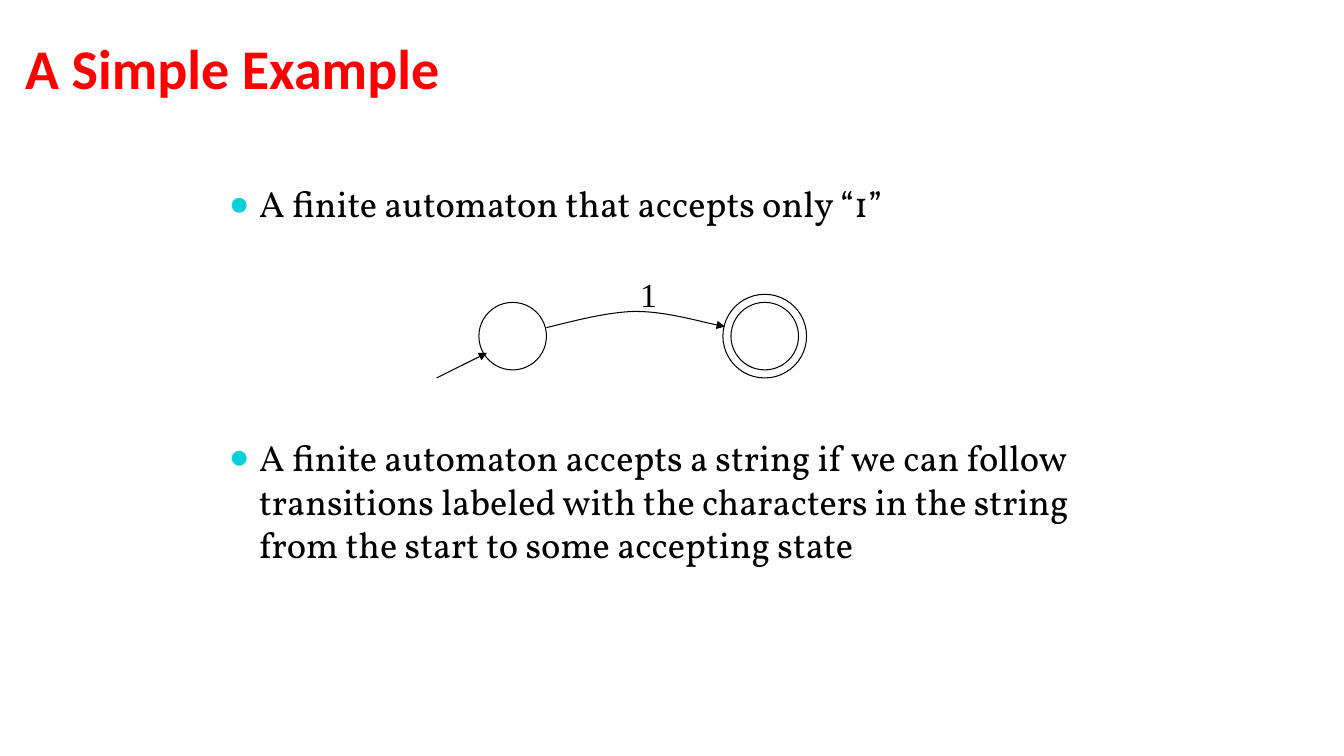
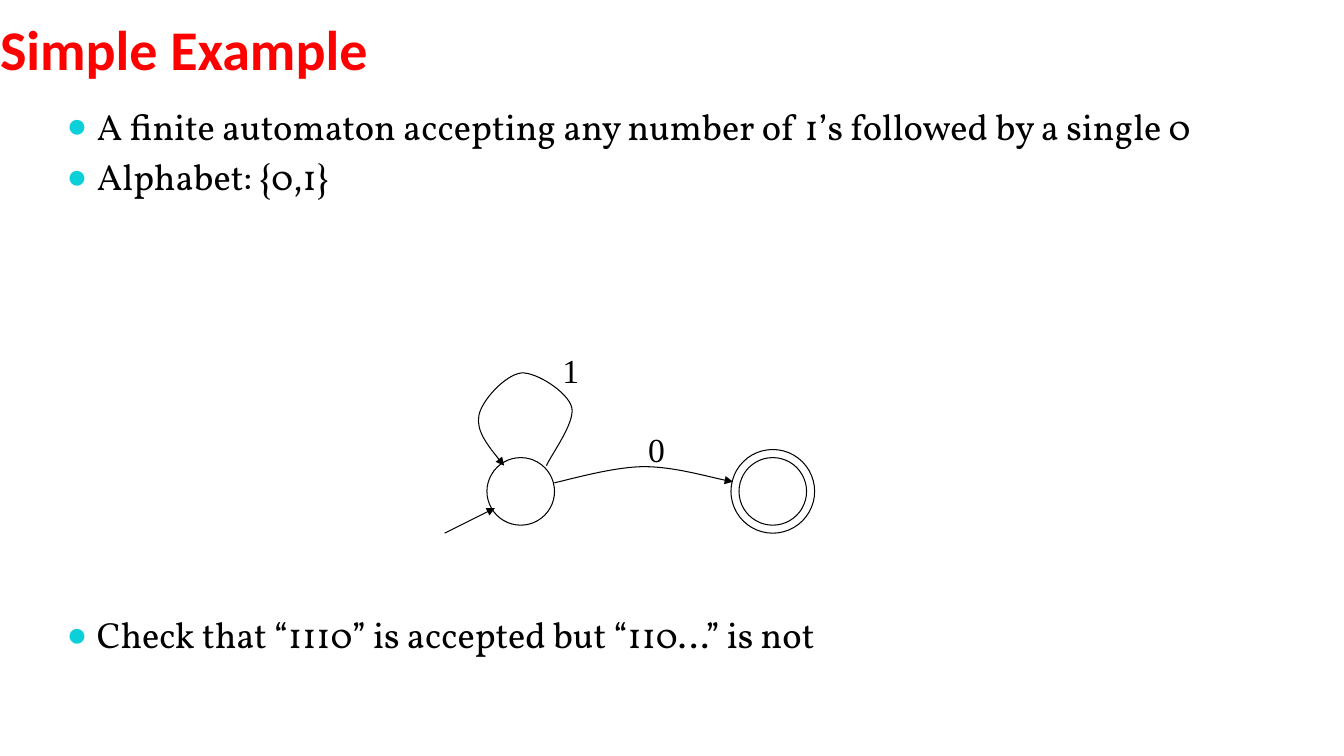
"""Build two slides that introduce finite automata with small state diagrams."""
import lxml.etree
import pptx
import pptx.dml.color
import pptx.enum.shapes
import pptx.enum.text
import pptx.oxml.ns
import pptx.util

Inches = pptx.util.Inches
Pt = pptx.util.Pt
qn = pptx.oxml.ns.qn

RED = pptx.dml.color.RGBColor(0xFF, 0x00, 0x00)
BLACK = pptx.dml.color.RGBColor(0x00, 0x00, 0x00)
WHITE = pptx.dml.color.RGBColor(0xFF, 0xFF, 0xFF)
CYAN = pptx.dml.color.RGBColor(0x0B, 0xD0, 0xD9)

TITLE_FONT = {"name": "Calibri", "size": Pt(40), "bold": True}
BODY_FONT = {"name": "Vollkorn", "size": Pt(26)}
SYMBOL_FONT = {"name": "Times New Roman", "size": Pt(24)}
TITLE_FRAME = {
    "margin_left": 0,
    "margin_top": Inches(0.05),
    "margin_right": 0,
    "margin_bottom": 0,
    "vertical_anchor": pptx.enum.text.MSO_ANCHOR.BOTTOM,
    "auto_size": pptx.enum.text.MSO_AUTO_SIZE.NONE,
}
BODY_FRAME = {
    "vertical_anchor": pptx.enum.text.MSO_ANCHOR.TOP,
    "auto_size": pptx.enum.text.MSO_AUTO_SIZE.NONE,
}
SYMBOL_FRAME = {
    "word_wrap": False,
    "auto_size": pptx.enum.text.MSO_AUTO_SIZE.SHAPE_TO_FIT_TEXT,
}

INDENT = Inches(0.3)
ITEM_GAP = 5
STATE_SIZE = 0.67
RING_GAP = 0.08
ACCEPT_OFFSET = 2.5
STEP_CURVE = [(0.67, 0.25), (0.81, 0.22), (1.26, 0.09), (1.56, 0.09),
              (1.85, 0.09), (2.26, 0.21), (2.44, 0.24)]
STEP_SYMBOL = (1.5, -0.33)
LOOP_CURVE = [(0.59, 0.08), (0.63, -0.02), (0.88, -0.35), (0.84, -0.5),
              (0.8, -0.65), (0.49, -0.85), (0.34, -0.84),
              (0.18, -0.82), (-0.05, -0.57), (-0.08, -0.42),
              (-0.11, -0.27), (0.03, -0.09), (0.17, 0.08)]
LOOP_SYMBOL = (0.65, -1.12)


def apply(target, values):
    """Set each attribute named in values on the target."""
    for attribute, value in values.items():
        setattr(target, attribute, value)


def write(paragraph, wording, font, colour):
    """Add one formatted run to a paragraph."""
    run = paragraph.add_run()
    run.text = wording
    apply(run.font, font)
    run.font.color.rgb = colour


def place(shape, box):
    """Move and size a shape to a box given in inches."""
    edges = ("left", "top", "width", "height")
    apply(shape, dict(zip(edges, map(Inches, box))))


def add_bullet(paragraph):
    """Give a paragraph a hanging round cyan bullet."""
    properties = paragraph._p.get_or_add_pPr()
    properties.set("marL", str(INDENT))
    properties.set("indent", str(-INDENT))
    colour = lxml.etree.SubElement(properties, qn("a:buClr"))
    lxml.etree.SubElement(colour, qn("a:srgbClr"), val=str(CYAN))
    lxml.etree.SubElement(properties, qn("a:buSzPct"), val="95000")
    lxml.etree.SubElement(properties, qn("a:buChar"), char="●")


def fill_title(slide, wording, box):
    """Place and write the slide title."""
    title = slide.shapes.title
    place(title, box)
    apply(title.text_frame, TITLE_FRAME)
    paragraph = title.text_frame.paragraphs[0]
    paragraph.alignment = pptx.enum.text.PP_ALIGN.LEFT
    write(paragraph, wording, TITLE_FONT, RED)


def fill_body(slide, items, box):
    """Write bulleted items, each a pair of wording and points before it."""
    body = slide.placeholders[1]
    place(body, box)
    frame = body.text_frame
    apply(frame, BODY_FRAME)
    for number, (wording, gap) in enumerate(items):
        paragraph = frame.add_paragraph() if number else frame.paragraphs[0]
        add_bullet(paragraph)
        paragraph.space_before = Pt(gap)
        write(paragraph, wording, BODY_FONT, BLACK)


def style_line(shape, arrow=False):
    """Give a shape a thin black line, with an arrowhead on request."""
    shape.line.color.rgb = BLACK
    shape.line.width = Pt(0.75)
    if arrow:
        outline = shape.element.spPr.get_or_add_ln()
        lxml.etree.SubElement(outline, qn("a:tailEnd"), type="triangle")


def add_circle(shapes, x, y, size):
    """Draw an unfilled circle."""
    circle = shapes.add_shape(pptx.enum.shapes.MSO_SHAPE.OVAL,
                              *map(Inches, (x, y, size, size)))
    circle.shadow.inherit = False
    circle.fill.background()
    style_line(circle)


def add_curve(shapes, points):
    """Draw a curved arrow through cubic Bézier points."""
    corners = [(Inches(x), Inches(y)) for x, y in points]
    builder = shapes.build_freeform(*corners[0])
    builder.add_line_segments(corners[1:], close=False)
    curve = builder.convert_to_shape()
    segments = list(curve.element.iter(qn("a:lnTo")))
    for first in range(0, len(segments), 3):
        bezier = lxml.etree.SubElement(segments[first].getparent(),
                                       qn("a:cubicBezTo"))
        for segment in segments[first:first + 3]:
            bezier.append(segment[0])
            segment.getparent().remove(segment)
    curve.shadow.inherit = False
    curve.fill.background()
    style_line(curve, arrow=True)


def add_transition(slide, x, y, curve, symbol, symbol_offset):
    """Draw a curved transition with its input symbol."""
    shapes = slide.shapes.add_group_shape().shapes
    add_curve(shapes, [(x + dx, y + dy) for dx, dy in curve])
    dx, dy = symbol_offset
    label = shapes.add_textbox(*map(Inches, (x + dx, y + dy, 0.37, 0.5)))
    apply(label.text_frame, SYMBOL_FRAME)
    write(label.text_frame.paragraphs[0], symbol, SYMBOL_FONT, BLACK)


def add_accepting_state(slide, x, y):
    """Draw a state with a double ring."""
    shapes = slide.shapes.add_group_shape().shapes
    for gap in (0, RING_GAP):
        add_circle(shapes, x - gap, y - gap, STATE_SIZE + 2 * gap)


def add_start_state(slide, x, y):
    """Draw a state with an incoming start arrow."""
    shapes = slide.shapes.add_group_shape().shapes
    add_circle(shapes, x, y, STATE_SIZE)
    ends = (x - 0.42, y + 0.75, x + 0.08, y + 0.5)
    entry = shapes.add_connector(pptx.enum.shapes.MSO_CONNECTOR.STRAIGHT,
                                 *map(Inches, ends))
    style_line(entry, arrow=True)
    lxml.etree.SubElement(entry.element.spPr, qn("a:effectLst"))


def add_automaton(slide, x, y, step, loop=None):
    """Draw a two-state automaton whose start state is at x, y."""
    add_transition(slide, x, y, STEP_CURVE, step, STEP_SYMBOL)
    add_accepting_state(slide, x + ACCEPT_OFFSET, y)
    add_start_state(slide, x, y)
    if loop:
        add_transition(slide, x, y, LOOP_CURVE, loop, LOOP_SYMBOL)


def main():
    """Build and save the presentation."""
    deck = pptx.Presentation()
    deck.slide_width, deck.slide_height = Inches(13.33), Inches(7.5)
    background = deck.slide_master.background.fill
    background.solid()
    background.fore_color.rgb = WHITE
    layout = deck.slide_layouts[1]

    only_one = deck.slides.add_slide(layout)
    fill_title(only_one, "A Simple Example", (0.25, -0.25, 12, 1.25))
    fill_body(only_one, [
        ("A finite automaton that accepts only “1”", 0),
        ("A finite automaton accepts a string if we can follow transitions "
         "labeled with the characters in the string from the start to some "
         "accepting state", 150),
    ], (2.17, 1.75, 9.08, 0.67))
    add_automaton(only_one, 4.75, 3, step="1")

    ones_then_zero = deck.slides.add_slide(layout)
    fill_title(ones_then_zero, "Simple Example", (0, -0.44, 12, 1.25))
    fill_body(ones_then_zero, [
        ("A finite automaton accepting any number of 1’s followed by "
         "a single 0", 0),
        ("Alphabet: {0,1}", ITEM_GAP),
        ("Check that “1110” is accepted but “110…” is not", 296),
    ], (0.56, 0.98, 12.19, 1.67))
    add_automaton(ones_then_zero, 4.83, 4.54, step="0", loop="1")

    deck.save("out.pptx")


if __name__ == "__main__":
    main()
